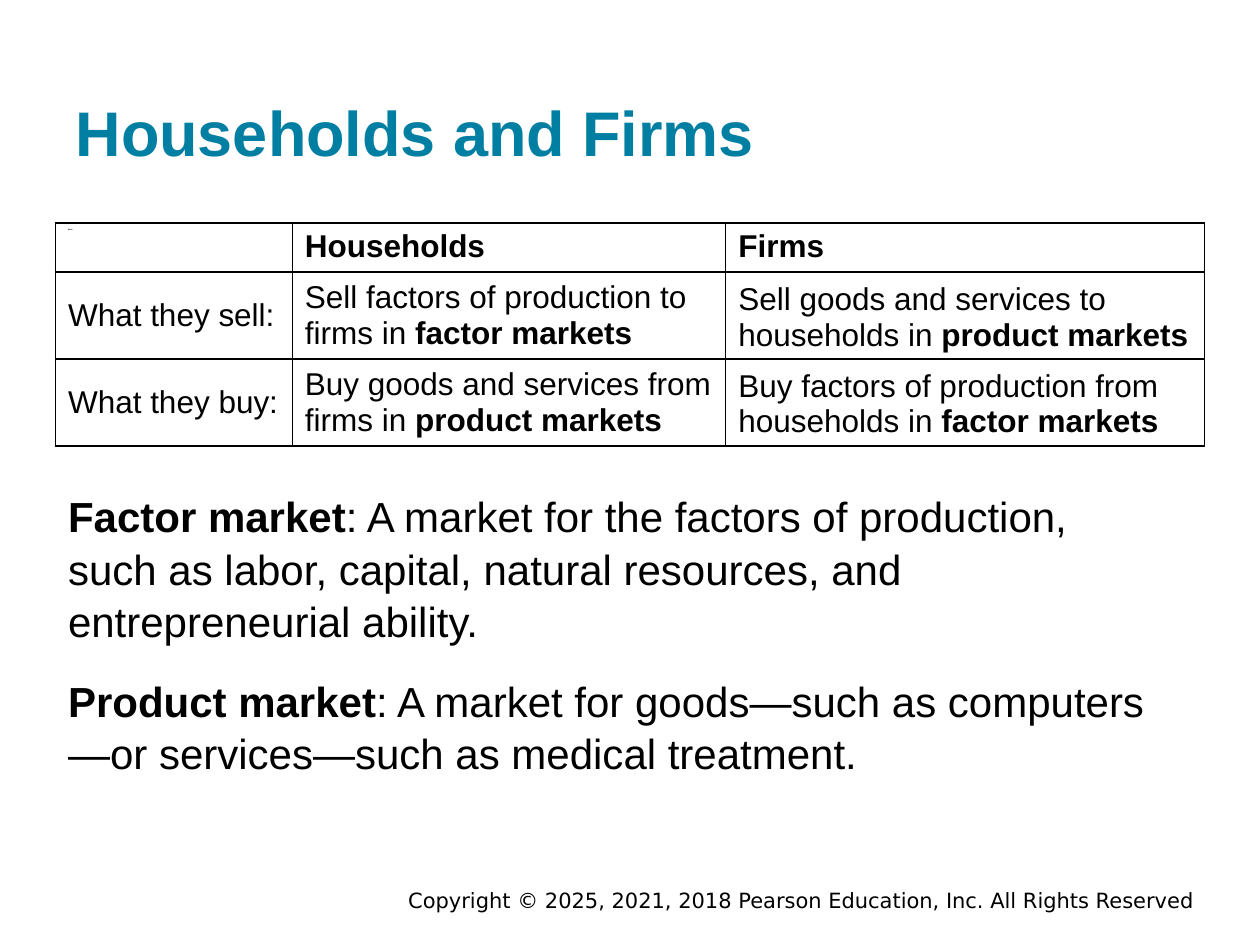
from dataclasses import dataclass

from lxml import etree
from pptx import Presentation
from pptx import util as u
from pptx.dml import color
from pptx.enum import text
from pptx.oxml import ns


@dataclass(frozen=True)
class Theme:
    font: str = "Arial"
    footer_font: str = "DejaVu Sans"
    ink: str = "000000"
    accent: str = "007FA3"
    title_size: int = 36
    body_size: int = 24
    table_size: int = 18
    hidden_size: int = 1
    footer_size: int = 12
    border_width: int = 1


THEME = Theme()
TOP, MIDDLE, BOTTOM = (text.MSO_ANCHOR.TOP, text.MSO_ANCHOR.MIDDLE,
                       text.MSO_ANCHOR.BOTTOM)

HEADER = ["Blank", "Households", "Firms"]
# Each cell is a list of (wording, bold) pieces
ROWS = [
    [[("What they sell:", False)],
     [("Sell factors of production to firms in ", False), ("factor markets", True)],
     [("Sell goods and services to households in ", False), ("product markets", True)]],
    [[("What they buy:", False)],
     [("Buy goods and services from firms in ", False), ("product markets", True)],
     [("Buy factors of production from households in ", False), ("factor markets", True)]],
]
DEFINITIONS = [
    [("Factor market", True),
     (": A market for the factors of production, such as labor, capital, "
      "natural resources, and entrepreneurial ability.", False)],
    [("Product market", True),
     (": A market for goods—such as computers—or services—such as medical "
      "treatment.", False)],
]


def inches(box):
    return [u.Inches(value) for value in box]


def place(shape, box):
    shape.left, shape.top, shape.width, shape.height = inches(box)


def write(paragraph, pieces, size, ink=THEME.ink, font=THEME.font):
    for wording, bold in pieces:
        run = paragraph.add_run()
        run.text = wording
        run.font.name = font
        run.font.size = u.Pt(size)
        run.font.bold = bold
        run.font.color.rgb = color.RGBColor.from_string(ink)


def outline_cell(cell):
    properties = cell._tc.get_or_add_tcPr()
    for side in ("lnL", "lnR", "lnT", "lnB"):
        line = etree.SubElement(properties, ns.qn(f"a:{side}"),
                                w=str(u.Pt(THEME.border_width)))
        fill = etree.SubElement(line, ns.qn("a:solidFill"))
        etree.SubElement(fill, ns.qn("a:srgbClr"), val=THEME.ink)


def add_title(slide, box):
    title = slide.shapes.title
    place(title, box)
    frame = title.text_frame
    frame.auto_size = text.MSO_AUTO_SIZE.NONE
    frame.vertical_anchor = BOTTOM
    frame.margin_left = frame.margin_right = u.Inches(0.1)
    frame.margin_top = frame.margin_bottom = u.Inches(0.1)
    paragraph = frame.paragraphs[0]
    paragraph.alignment = text.PP_ALIGN.LEFT
    write(paragraph, [("Households and Firms", True)], THEME.title_size, THEME.accent)


def add_market_table(slide, box):
    rows = [[[(label, True)] for label in HEADER]] + ROWS
    table = slide.shapes.add_table(len(rows), len(HEADER), *inches(box)).table
    table.first_row = table.horz_banding = False
    for column, width in zip(table.columns, (1.88, 3.44, 3.8)):
        column.width = u.Inches(width)
    for row, height in zip(table.rows, (0.39, 0.69, 0.69)):
        row.height = u.Inches(height)
    for row_index, row in enumerate(rows):
        anchors = (MIDDLE, MIDDLE, BOTTOM) if row_index else (TOP,) * 3
        for column_index, pieces in enumerate(row):
            cell = table.cell(row_index, column_index)
            outline_cell(cell)
            cell.fill.background()
            cell.vertical_anchor = anchors[column_index]
            corner = row_index == column_index == 0
            write(cell.text_frame.paragraphs[0], pieces,
                  THEME.hidden_size if corner else THEME.table_size)


def add_definitions(slide, box):
    body = slide.placeholders[1]
    place(body, box)
    frame = body.text_frame
    frame.auto_size = text.MSO_AUTO_SIZE.NONE
    for index, pieces in enumerate(DEFINITIONS):
        paragraph = frame.add_paragraph() if index else frame.paragraphs[0]
        properties = paragraph._p.get_or_add_pPr()
        properties.set("marL", "0")
        properties.set("indent", "0")
        etree.SubElement(properties, ns.qn("a:buNone"))
        paragraph.space_before = u.Pt(15 if index else 0)
        paragraph.line_spacing = 1.05
        write(paragraph, pieces, THEME.body_size)


def add_copyright(slide, box):
    frame = slide.shapes.add_textbox(*inches(box)).text_frame
    frame.word_wrap = True
    frame.vertical_anchor = MIDDLE
    paragraph = frame.paragraphs[0]
    paragraph.alignment = text.PP_ALIGN.RIGHT
    line = "Copyright © 2025, 2021, 2018 Pearson Education, Inc. All Rights Reserved"
    write(paragraph, [(line, False)], THEME.footer_size, font=THEME.footer_font)


def main():
    presentation = Presentation()
    presentation.slide_width, presentation.slide_height = inches((10, 7.5))
    slide = presentation.slides.add_slide(presentation.slide_layouts[1])
    add_title(slide, (0.5, 0.24, 9, 1.2))
    add_market_table(slide, (0.44, 1.77, 9.12, 1.77))
    add_definitions(slide, (0.44, 3.82, 8.92, 2.45))
    add_copyright(slide, (1.75, 7.03, 7.83, 0.22))
    presentation.save("out.pptx")


if __name__ == "__main__":
    main()
